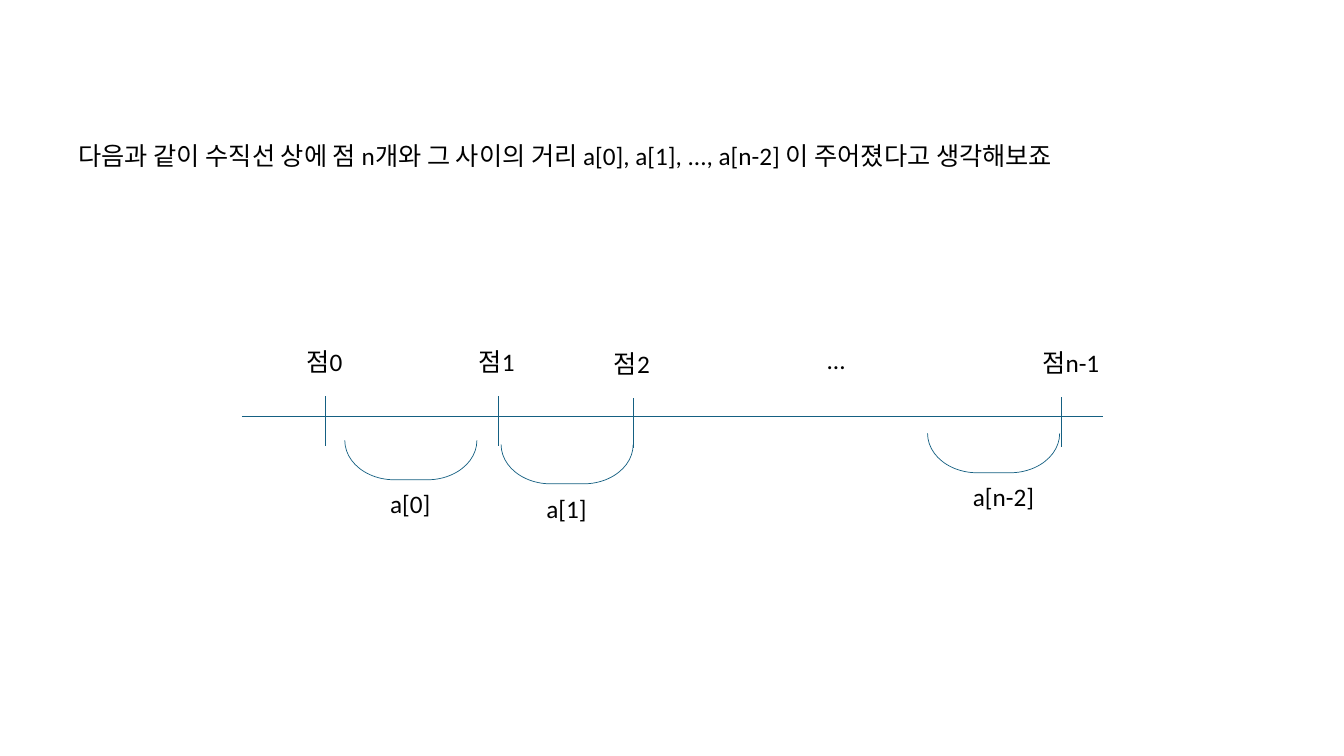
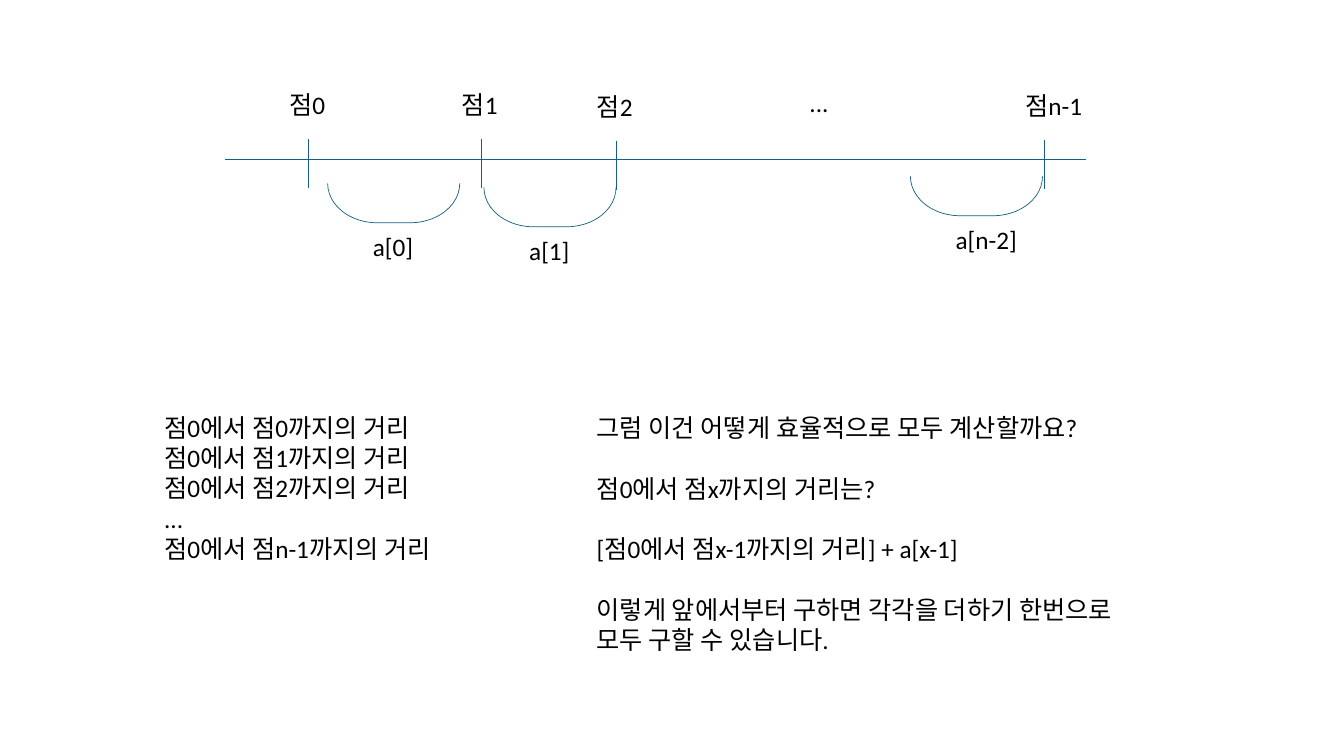
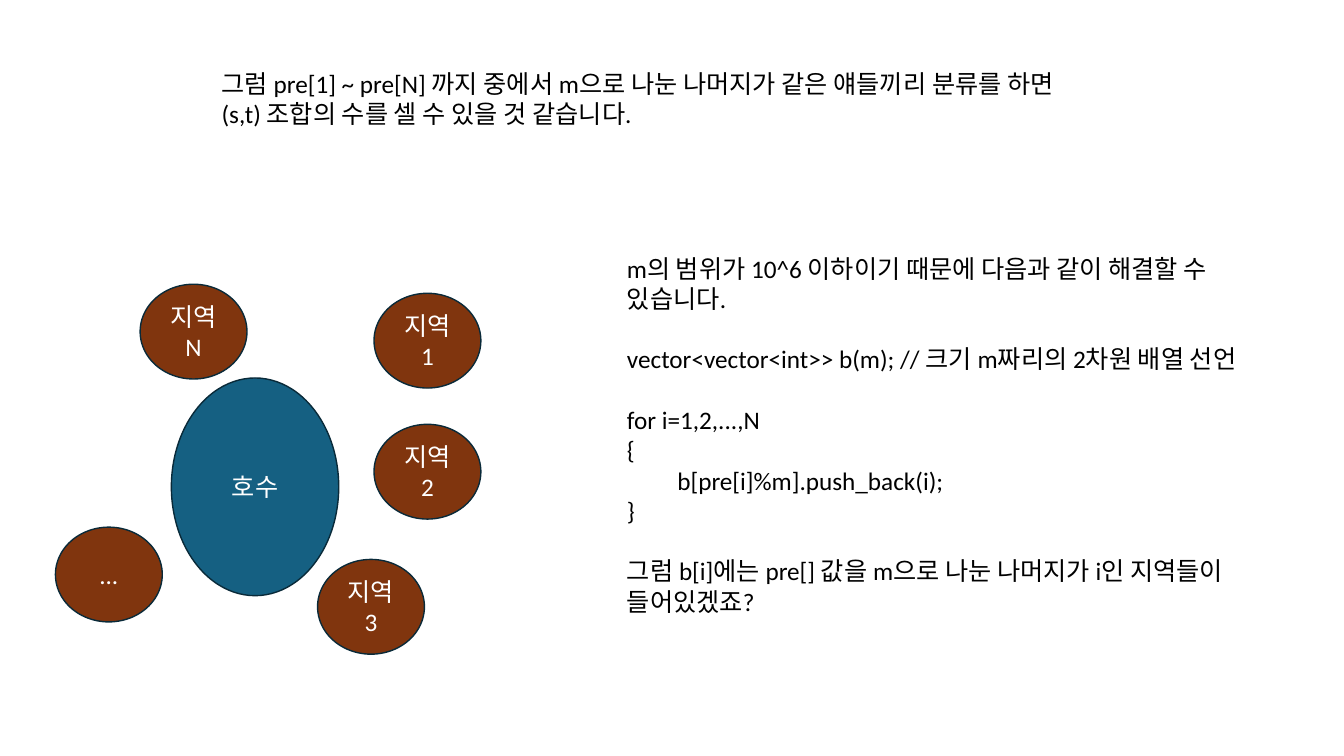
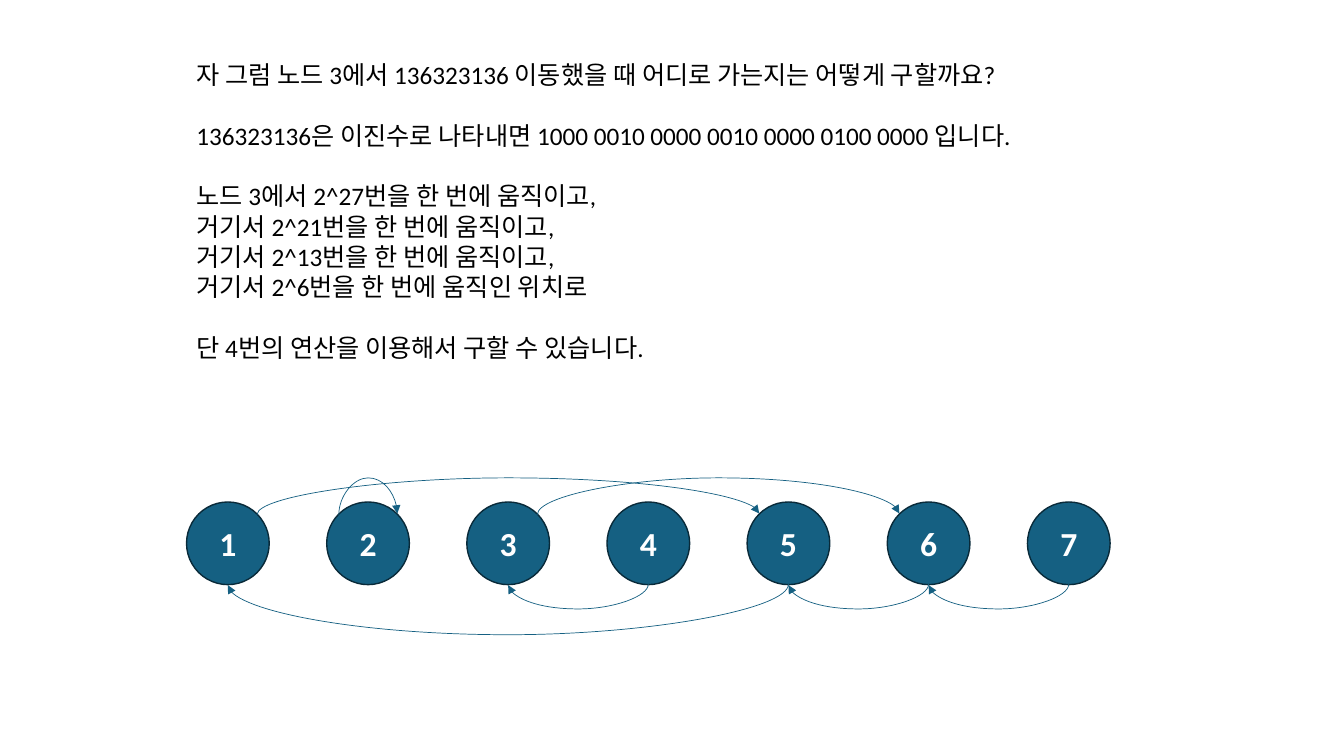
from lxml import etree
from pptx import Presentation
from pptx.dml.color import RGBColor
from pptx.enum.dml import MSO_THEME_COLOR
from pptx.enum.shapes import MSO_CONNECTOR, MSO_SHAPE
from pptx.enum.text import MSO_ANCHOR, MSO_AUTO_SIZE, PP_ALIGN
from pptx.oxml.ns import qn
from pptx.util import Inches, Pt

STRAIGHT, CURVE = MSO_CONNECTOR.STRAIGHT, MSO_CONNECTOR.CURVE
OVAL, BRACKET = MSO_SHAPE.OVAL, MSO_SHAPE.LEFT_BRACKET
GROW, MIDDLE, CENTER = MSO_AUTO_SIZE.SHAPE_TO_FIT_TEXT, MSO_ANCHOR.MIDDLE, PP_ALIGN.CENTER

CELL = Inches(1)
COLS, ROWS = 13.33, 7.5
FONT, SIZE, BLANK_LINE = "Calibri", 18, 21.7
BLACK, WHITE, BLUE, NAVY, BROWN = "000000", "FFFFFF", "156082", "092A39", "80350E"
THIN = 0.5

NODE_SIZE, NODE_STEP, NODE_LEFT, NODE_TOP = 0.82, 1.39, 1.85, 4.98
ARC_THICKNESS = 0.01


def cells(*values):
    """Turn grid cells into slide lengths."""
    return [int(v * CELL) for v in values]


def color(value):
    """Turn a hex string into a colour."""
    return RGBColor.from_string(value)


def style_line(line, value, width):
    """Set the colour and width of a line."""
    line.color.rgb = color(value)
    line.width = Pt(width)


def write(tf, lines, value=BLACK, size=SIZE, bold=None, align=None):
    """Write lines as paragraphs; an empty line opens a gap before the next."""
    p, gap = None, False
    for line in lines:
        if not line:
            gap = True
            continue
        p = tf.add_paragraph() if p else tf.paragraphs[0]
        p.text = line
        p.alignment = align
        if gap:
            p.space_before = Pt(BLANK_LINE)
        gap = False
        for r in p.runs:
            r.font.name, r.font.size, r.font.bold = FONT, Pt(size), bold
            r.font.color.rgb = color(value)


def add_text(slide, x, y, w, h, *lines):
    """Add a wrapping text box."""
    tf = slide.shapes.add_textbox(*cells(x, y, w, h)).text_frame
    tf.word_wrap = True
    tf.auto_size = GROW
    write(tf, lines)


def add_oval(slide, x, y, w, h, label, fill=BLUE, size=SIZE, bold=None):
    """Add a filled oval with a centred label."""
    sp = slide.shapes.add_shape(OVAL, *cells(x, y, w, h))
    sp.shadow.inherit = False
    sp.fill.solid()
    sp.fill.fore_color.rgb = color(fill)
    style_line(sp.line, NAVY, 1)
    sp.text_frame.vertical_anchor = MIDDLE
    write(sp.text_frame, [label], WHITE, size, bold, CENTER)


def add_line(slide, x1, y1, x2, y2, kind=STRAIGHT):
    """Add a thin connector without a shadow."""
    cxn = slide.shapes.add_connector(kind, *cells(x1, y1, x2, y2))
    style_line(cxn.line, BLUE, THIN)
    etree.SubElement(cxn.element.spPr, qn("a:effectLst"))
    return cxn


def add_arc(slide, x1, x2, y, depth):
    """Add a curved arrow that bulges up when it runs right and down when left."""
    mid, span = (x1 + x2) / 2, x2 - x1
    lean = ARC_THICKNESS / 2 if span > 0 else -ARC_THICKNESS / 2
    cxn = add_line(slide, mid + lean, y + span / 2, mid - lean, y - span / 2, CURVE)
    sp_pr = cxn.element.spPr
    sp_pr.find(qn("a:xfrm")).set("rot", str(90 * 60000))
    guides = sp_pr.find(qn("a:prstGeom")).find(qn("a:avLst"))
    ratio = round(depth / ARC_THICKNESS * 100000)
    etree.SubElement(guides, qn("a:gd"), name="adj1", fmla=f"val {ratio}")
    etree.SubElement(sp_pr.find(qn("a:ln")), qn("a:tailEnd"), type="triangle")


def add_bracket(slide, x, y, label):
    """Add a bracket opening upward with a label under it."""
    w, h = 1.31, 0.39
    left, top = x + (w - h) / 2, y - (w - h) / 2
    sp = slide.shapes.add_shape(BRACKET, *cells(left, top, h, w))
    sp.rotation = 270
    sp.adjustments[0] = 1.26
    sp.shadow.inherit = False
    sp.fill.background()
    style_line(sp.line, BLUE, THIN)
    add_text(slide, x + 0.35, y + 0.43, 0.85, 0.4, label)


def add_number_line(slide, x, y):
    """Draw the points on a line and the distances between them."""
    add_line(slide, x, y, x + 8.54, y)
    points = [("0", 0.83, 0, 0.58), ("1", 2.54, 0, 0.58),
              ("2", 3.88, 0.02, 0.58), ("n-1", 8.13, 0.01, 0.79)]
    for name, dx, dy, w in points:
        add_line(slide, x + dx, y + dy - 0.2, x + dx, y + dy + 0.29)
        add_text(slide, x + dx - 0.29, y + dy - 0.74, w, 0.4, "점" + name)
    add_text(slide, x + 5.7, y - 0.76, 0.45, 0.4, "...")
    for name, dx, dy in [("0", 1.02, 0.24), ("1", 2.57, 0.28), ("n-2", 6.8, 0.17)]:
        add_bracket(slide, x + dx, y + dy, f"a[{name}]")


def build_distances(slide):
    """Introduce the points and their distances."""
    add_text(slide, 0.68, 1.34, 10.77, 0.4,
             "다음과 같이 수직선 상에 점 n개와 그 사이의 거리 a[0], a[1], ..., a[n-2] 이 주어졌다고 생각해보죠")
    add_number_line(slide, 2.4, 4.13)


def build_prefix(slide):
    """Show how the distances from the first point add up."""
    add_number_line(slide, 2.23, 1.58)
    add_text(slide, 1.53, 4.04, 3.06, 1.62,
             "점0에서 점0까지의 거리", "점0에서 점1까지의 거리", "점0에서 점2까지의 거리",
             "...", "점0에서 점n-1까지의 거리")
    add_text(slide, 5.82, 4.04, 6.25, 2.52,
             "그럼 이건 어떻게 효율적으로 모두 계산할까요?", "",
             "점0에서 점x까지의 거리는?", "",
             "[점0에서 점x-1까지의 거리] + a[x-1]", "",
             "이렇게 앞에서부터 구하면 각각을 더하기 한번으로", "모두 구할 수 있습니다.")


def build_lake(slide):
    """Show the regions around the lake and the grouping code."""
    add_text(slide, 2.1, 0.63, 9.13, 0.71,
             "그럼 pre[1] ~ pre[N] 까지 중에서 m으로 나눈 나머지가 같은 얘들끼리 분류를 하면",
             "(s,t) 조합의 수를 셀 수 있을 것 같습니다.")
    add_oval(slide, 1.7, 3.75, 1.66, 2.16, "호수")
    regions = [("지역1", 3.71, 2.91), ("지역2", 3.71, 4.21), ("지역3", 3.15, 5.55),
               ("지역N", 1.39, 2.82), ("...", 0.55, 5.23)]
    for label, x, y in regions:
        add_oval(slide, x, y, 1.06, 0.94, label, BROWN)
    add_text(slide, 6.12, 2.46, 6.49, 3.74,
             "m의 범위가 10^6 이하이기 때문에 다음과 같이 해결할 수 있습니다.", "",
             "vector<vector<int>> b(m); // 크기 m짜리의 2차원 배열 선언", "",
             "for i=1,2,...,N", "{", "\tb[pre[i]%m].push_back(i);", "}", "",
             "그럼 b[i]에는 pre[] 값을 m으로 나눈 나머지가 i인 지역들이 들어있겠죠?")


def build_jumps(slide):
    """Show the node graph and the jumps by powers of two."""
    centers = {n: NODE_LEFT + NODE_SIZE / 2 + NODE_STEP * (n - 1) for n in range(1, 8)}
    for n, x in centers.items():
        add_oval(slide, x - NODE_SIZE / 2, NODE_TOP, NODE_SIZE, NODE_SIZE, str(n),
                 size=24, bold=True)
    for start, end in [(1, 5), (2, 2), (3, 6)]:
        side = -0.29 if start == end else 0.29
        add_arc(slide, centers[start] + side, centers[end] - side if start != end
                else centers[end] + 0.29, NODE_TOP + 0.12, 0.37)
    for start, end, depth in [(4, 3, 0.25), (5, 1, 0.51), (6, 5, 0.25), (7, 6, 0.25)]:
        add_arc(slide, centers[start], centers[end], NODE_TOP + NODE_SIZE, depth)
    add_text(slide, 1.85, 0.54, 8.74, 3.13,
             "자 그럼 노드 3에서 136323136 이동했을 때 어디로 가는지는 어떻게 구할까요?", "",
             "136323136은 이진수로 나타내면 1000 0010 0000 0010 0000 0100 0000 입니다.", "",
             "노드 3에서 2^27번을 한 번에 움직이고,",
             *[f"거기서 2^{n}번을 한 번에 움직이고," for n in (21, 13)],
             "거기서 2^6번을 한 번에 움직인 위치로", "",
             "단 4번의 연산을 이용해서 구할 수 있습니다.")


def main():
    """Build the deck."""
    prs = Presentation()
    prs.slide_width, prs.slide_height = cells(COLS, ROWS)
    for build in (build_distances, build_prefix, build_lake, build_jumps):
        build(prs.slides.add_slide(prs.slide_layouts[6]))
    prs.save("out.pptx")


if __name__ == "__main__":
    main()
